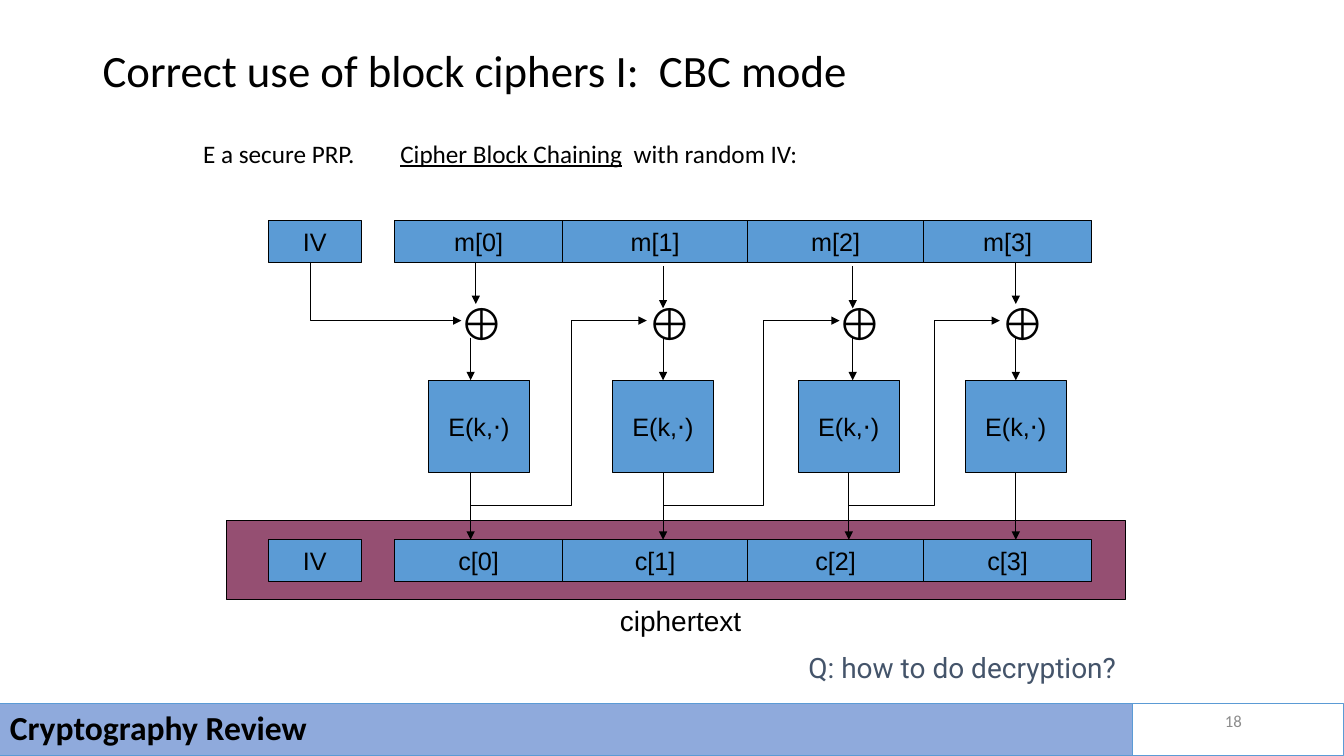
from pptx import Presentation
from pptx.dml.color import RGBColor
from pptx.enum.shapes import MSO_CONNECTOR, MSO_SHAPE
from pptx.enum.text import MSO_ANCHOR, MSO_AUTO_SIZE, PP_ALIGN
from pptx.oxml.ns import qn
from pptx.util import Cm, Pt
from lxml import etree

RECT, LINE = MSO_SHAPE.RECTANGLE, MSO_CONNECTOR.STRAIGHT
TOP, MIDDLE = MSO_ANCHOR.TOP, MSO_ANCHOR.MIDDLE
LEFT, CENTER, RIGHT = PP_ALIGN.LEFT, PP_ALIGN.CENTER, PP_ALIGN.RIGHT


class Theme:
    black = RGBColor.from_string("000000")
    block = RGBColor.from_string("5B9BD5")
    panel = RGBColor.from_string("954F72")
    bar = RGBColor.from_string("8FAADC")
    slate = RGBColor.from_string("44546A")
    gray = RGBColor.from_string("8C8C8C")
    sans, head, query = "Arial", "Calibri", "Roboto"
    title, foot, note, text, page = Pt(32), Pt(24), Pt(20), Pt(18), Pt(12)
    thin, thick = Pt(0.75), Pt(1)


def put(text, x, y, w, h, fill=None, edge=None, size=Theme.text, font=Theme.sans,
        color=Theme.black, align=LEFT, anchor=TOP):
    """Add a bordered box if it has an edge colour, else a bare text box."""
    area = Cm(x), Cm(y), Cm(w), Cm(h)
    if edge is None:
        shape = shapes.add_textbox(*area)
    else:
        shape = shapes.add_shape(RECT, *area)
        shape.shadow.inherit = False
        shape.line.color.rgb = edge
        shape.line.width = Theme.thin
        if fill is None:
            shape.fill.background()
        else:
            shape.fill.solid()
            shape.fill.fore_color.rgb = fill
    frame = shape.text_frame
    frame.word_wrap = False
    frame.vertical_anchor = anchor
    para = frame.paragraphs[0]
    para.text = text
    para.alignment = align
    para.font.size, para.font.name = size, font
    para.font.color.rgb = color
    return shape


def wire(*points, width=Theme.thin):
    """Draw an arrow through the points, bent where there are more than two."""
    points = [(Cm(x), Cm(y)) for x, y in points]
    if len(points) == 2:
        shape = shapes.add_connector(LINE, *points[0], *points[1])
        etree.SubElement(shape.element.spPr, qn("a:effectLst"))
    else:
        path = shapes.build_freeform(*points[0])
        path.add_line_segments(points[1:], close=False)
        shape = path.convert_to_shape()
        shape.fill.background()
        shape.shadow.inherit = False
    shape.line.color.rgb = Theme.black
    shape.line.width = width
    tail = etree.SubElement(shape.element.spPr.find(qn("a:ln")), qn("a:tailEnd"))
    tail.set("type", "triangle")


deck = Presentation()
deck.slide_width, deck.slide_height = Cm(33.87), Cm(19.05)
slide = deck.slides.add_slide(deck.slide_layouts[5])
shapes = slide.shapes

# Title and introduction
title = shapes.title
title.left, title.top, title.width, title.height = Cm(2.33), Cm(0), Cm(29.21), Cm(3.68)
title.text_frame.auto_size = MSO_AUTO_SIZE.NONE
title.text_frame.vertical_anchor = MIDDLE
para = title.text_frame.paragraphs[0]
para.text = "Correct use of block ciphers I:  CBC mode"
para.alignment, para.line_spacing = LEFT, 0.9
para.font.size, para.font.name = Theme.title, Theme.head
para.font.color.rgb = Theme.black

intro = put("E a secure PRP.\t", 4.87, 3.36, 15.67, 1.02, font=Theme.head)
intro.text_frame.word_wrap = True
para = intro.text_frame.paragraphs[0]
stops = etree.Element(qn("a:tabLst"))
etree.SubElement(stops, qn("a:tab"), pos=str(Cm(4.97)), algn="l")
para._p.get_or_add_pPr().insert(0, stops)
name = para.add_run()
name.text, name.font.underline = "Cipher Block Chaining", True
para.add_run().text = "  with random IV:"

# Message and ciphertext rows
block = dict(fill=Theme.block, edge=Theme.black, align=CENTER, anchor=MIDDLE)
edges = [9.95, 14.18, 18.84, 23.28, 27.51]
put("", 5.71, 13.12, 22.66, 1.98, fill=Theme.panel, edge=Theme.black)
for letter, y in (("m", 5.55), ("c", 13.6)):
    put("IV", 6.77, y, 2.33, 1.06, **block)
    for i, (x, end) in enumerate(zip(edges, edges[1:])):
        put(f"{letter}[{i}]", x, y, end - x, 1.06, **block)

# Each stage: cipher box, xor sign, arrow x for input, middle, output, input y
stages = [
    (10.8, 11.33, 11.99, 11.86, 11.86, 6.6),
    (15.44, 16.08, 16.71, 16.71, 16.71, 6.71),
    (20.12, 20.85, 21.49, 21.49, 21.39, 6.71),
    (24.33, 24.97, 25.6, 25.6, 25.6, 6.6),
]
for box, xor, into, mid, out, y in stages:
    put("E(k,⋅)", box, 9.58, 2.54, 2.33, **block)
    put("⊕", xor, 7.32, 1.37, 1.6, size=Theme.title)
    wire((into, y), (into, y + 1.06))
    wire((mid, 8.51), (mid, 9.58))
    wire((out, 11.9), (out, 13.6))

# Feedback into the next xor
wire((7.83, 6.6), (7.83, 8.08), (11.63, 8.08), width=Theme.thick)
for x, bend, tip in ((11.86, 14.4, 16.3), (16.71, 19.25, 21.16), (21.39, 23.55, 25.2)):
    wire((x, 12.74), (bend, 12.74), (bend, 8.08), (tip, 8.08))

# Captions and footer
put("ciphertext", 15.37, 15.09, 3.61, 1.12, size=Theme.note)
put("Q: how to do decryption?", 20.12, 16.26, 8.74, 1.12,
    size=Theme.note, font=Theme.query, color=Theme.slate)
foot = put("Cryptography Review", 0, 17.73, 28.55, 1.32, fill=Theme.bar,
           edge=Theme.block, size=Theme.foot, font=Theme.head, anchor=MIDDLE)
foot.text_frame.word_wrap = True
foot.text_frame.paragraphs[0].font.bold = True
foot.text_frame.paragraphs[0].line_spacing = 0.9
put("", 28.55, 17.73, 5.32, 1.32, edge=Theme.block)
page = put("18", 23.93, 17.65, 7.62, 1.02, size=Theme.page, font=Theme.head,
           color=Theme.gray, align=RIGHT, anchor=MIDDLE)
page.text_frame.word_wrap = True

deck.save("out.pptx")
